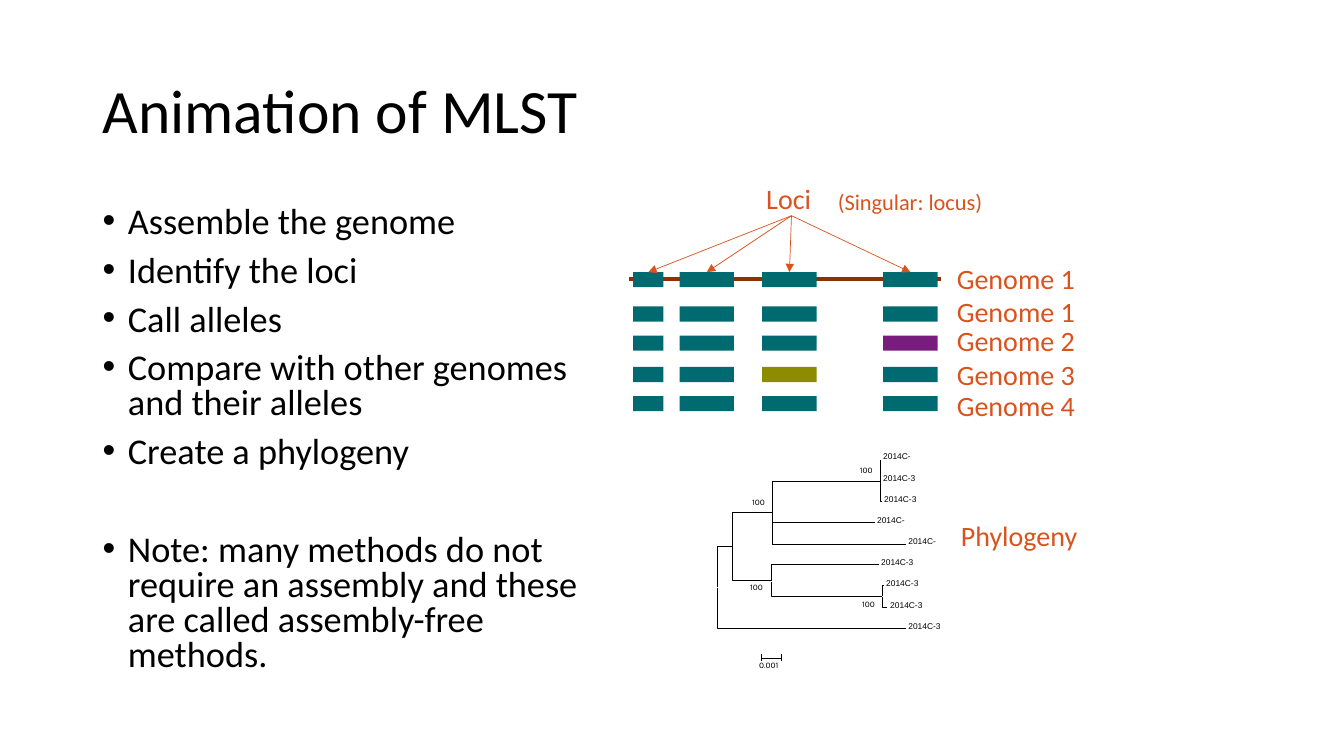
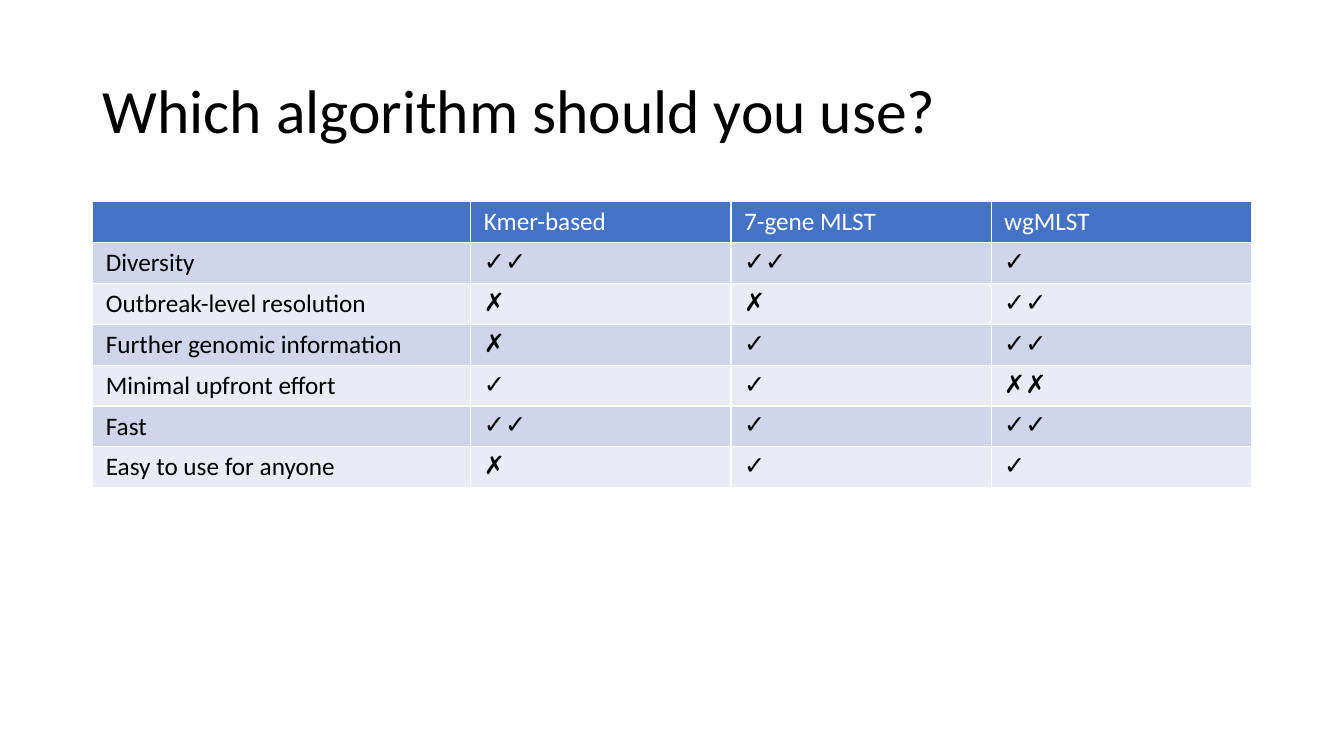
from lxml import etree
from pptx import Presentation
from pptx import util as u
from pptx.dml.color import RGBColor
from pptx.enum import shapes, text
from pptx.oxml.ns import qn

PX = 9144  # 100 px to the inch
COLORS = {
    "ink": "000000", "white": "FFFFFF", "label": "D9531E", "backbone": "8B3102",
    "common": "006A71", "purple": "781D7E", "olive": "8D8B00",
    "header": "4472C4", "band_dark": "CFD5EA", "band_light": "E9EBF5",
}


def px(length):
    return u.Emu(length * PX)


def rgb(name):
    return RGBColor.from_string(COLORS[name])


class Deck:
    """Holds the shared style and the slide being filled."""

    def __init__(self):
        self.file = Presentation()
        self.file.slide_width, self.file.slide_height = px(1333), px(750)
        self.page = None

    def add_page(self, title):
        self.page = self.file.slides.add_slide(self.file.slide_layouts[6])
        frame = self.add_text(title, 92, 40, 1150, 145, size=44, color="ink", inset=(10, 5))
        frame.vertical_anchor = text.MSO_ANCHOR.MIDDLE
        frame.paragraphs[0].line_spacing = 0.9

    def style_font(self, para, size, color="ink", font="Calibri"):
        for span in para.runs:
            span.font.size, span.font.name = u.Pt(size), font
            span.font.color.rgb = rgb(color)
            span.font.bold = False

    def add_text(self, words, left, top, width, height, size=20, color="label",
                 font="Calibri", inset=(0, 0), wrap=True):
        box = self.page.shapes.add_textbox(px(left), px(top), px(width), px(height))
        frame = box.text_frame
        frame.word_wrap = wrap
        frame.margin_left = frame.margin_right = px(inset[0])
        frame.margin_top = frame.margin_bottom = px(inset[1])
        frame.text = words
        for para in frame.paragraphs:
            self.style_font(para, size, color, font)
        return frame

    def add_bullets(self, items, left, top, width, height, size, last_gap):
        """Bulleted list whose last item stands apart by last_gap points."""
        frame = self.add_text("\n".join(items), left, top, width, height,
                              size=size, color="ink", inset=(10, 5))
        for index, para in enumerate(frame.paragraphs):
            props = para._p.get_or_add_pPr()
            props.set("marL", str(px(25)))
            props.set("indent", str(-px(25)))
            etree.SubElement(props, qn("a:buFont")).set("typeface", "Arial")
            etree.SubElement(props, qn("a:buChar")).set("char", "•")
            para.line_spacing = 0.8
            if index:
                para.space_before = u.Pt(10)
        frame.paragraphs[-1].space_before = u.Pt(last_gap)

    def add_bar(self, left, top, width, height, color):
        bar = self.page.shapes.add_shape(
            shapes.MSO_SHAPE.RECTANGLE, px(left), px(top), px(width), px(height))
        bar.shadow.inherit = False
        bar.fill.solid()
        bar.fill.fore_color.rgb = rgb(color)
        bar.line.fill.background()

    def add_line(self, x1, y1, x2, y2, color="ink", weight=0.38, arrow=False):
        line = self.page.shapes.add_connector(
            shapes.MSO_CONNECTOR.STRAIGHT, px(x1), px(y1), px(x2), px(y2))
        line.line.color.rgb = rgb(color)
        line.line.width = u.Pt(weight)
        if arrow:
            etree.SubElement(line.line._get_or_add_ln(), qn("a:tailEnd")).set("type", "triangle")
        etree.SubElement(line._element.spPr, qn("a:effectLst"))

    def add_elbow(self, x, node_y, tip_y, tip_x):
        """Tree branch: vertical from the node, then horizontal to the tip."""
        builder = self.page.shapes.build_freeform(px(x), px(node_y))
        builder.add_line_segments([(px(x), px(tip_y)), (px(tip_x), px(tip_y))], close=False)
        branch = builder.convert_to_shape()
        branch.shadow.inherit = False
        branch.fill.background()
        branch.line.color.rgb = rgb("ink")
        branch.line.width = u.Pt(0.38)

    def add_table(self, rows, left, top, width, height, first_width):
        columns = len(rows[0])
        grid = self.page.shapes.add_table(
            len(rows), columns, px(left), px(top), px(width), px(height)).table
        for index, column in enumerate(grid.columns):
            column.width = px((width - first_width) // (columns - 1) if index else first_width)
        for r, row in enumerate(rows):
            fill = ("band_dark" if r % 2 else "band_light") if r else "header"
            for c, words in enumerate(row):
                cell = grid.cell(r, c)
                cell.margin_left = cell.margin_right = px(13)
                cell.margin_top = cell.margin_bottom = px(5)
                cell.text = words
                self.style_font(cell.text_frame.paragraphs[0], 18,
                                "ink" if r else "white", "Arial" if r and c else "Calibri")
                self.add_borders(cell)
                cell.fill.solid()
                cell.fill.fore_color.rgb = rgb(fill)

    def add_borders(self, cell):
        props = cell._tc.get_or_add_tcPr()
        for side in ("lnL", "lnR", "lnT", "lnB"):
            border = etree.SubElement(props, qn(f"a:{side}"), w=str(u.Pt(1)))
            solid = etree.SubElement(border, qn("a:solidFill"))
            etree.SubElement(solid, qn("a:srgbClr")).set("val", COLORS["white"])


def add_loci(deck):
    loci = [(628, 30), (674, 54), (756, 54), (876, 54)]  # left, width
    genomes = [  # bar top, label top, name, colours of differing loci
        (270, 259, "Genome 1", {}),
        (304, 292, "Genome 1", {}),
        (333, 321, "Genome 2", {3: "purple"}),
        (364, 355, "Genome 3", {2: "olive"}),
        (393, 385, "Genome 4", {}),
    ]
    deck.add_line(624, 277, 933, 277, "backbone", 3)
    for bar_top, label_top, name, variants in genomes:
        for index, (left, width) in enumerate(loci):
            deck.add_bar(left, bar_top, width, 15, variants.get(index, "common"))
        deck.add_text(name, 949, label_top, 182, 34)
    deck.add_text("Loci", 760, 180, 50, 34)
    deck.add_text("(Singular: locus)", 831, 187, 147, 27, size=16)
    for left, width in loci:
        deck.add_line(785, 214, left + width // 2, 270, "label", 0.5, arrow=True)


def add_phylogeny(deck):
    branches = [  # x, node y, tip y, tip x
        (873, 477, 497, 875), (766, 497, 477, 873), (766, 498, 518, 868),
        (766, 508, 540, 899), (726, 542, 508, 766), (765, 576, 560, 872),
        (875, 591, 581, 877), (875, 592, 602, 880), (765, 577, 592, 875),
        (726, 542, 576, 765), (711, 582, 542, 726), (711, 583, 623, 899),
    ]
    for branch in branches:
        deck.add_elbow(*branch)
    stems_and_scale = [
        (873, 456, 873, 477), (766, 477, 766, 508),
        (755, 653, 775, 653), (755, 649, 755, 656), (775, 649, 775, 656),
    ]
    for ends in stems_and_scale:
        deck.add_line(*ends)
    samples = [
        ("2014C-", 876, 448), ("2014C-3", 876, 469), ("2014C-3", 877, 490),
        ("2014C-", 870, 511), ("2014C-", 901, 532), ("2014C-3", 874, 553),
        ("2014C-3", 879, 574), ("2014C-3", 883, 595), ("2014C-3", 901, 616),
    ]
    for name, left, top in samples:
        deck.add_text(name, left, top, 33, 10, 6, "ink", "Arial", wrap=False)
    numbers = [("100", 855, 594), ("100", 744, 578), ("100", 746, 493),
               ("100", 853, 461), ("0.001", 753, 655)]
    for number, left, top in numbers:
        deck.add_text(number, left, top, 21 if "." in number else 14, 10,
                      6, "ink", "Karla", wrap=False)
    deck.add_text("Phylogeny", 953, 514, 182, 34)


def main():
    deck = Deck()
    deck.add_page("Animation of MLST")
    deck.add_bullets([
        "Assemble the genome",
        "Identify the loci",
        "Call alleles",
        "Compare with other genomes and their alleles",
        "Create a phylogeny",
        "Note: many methods do not require an assembly and these are called "
        "assembly-free methods.",
    ], 92, 200, 501, 476, size=25.9, last_gap=45)
    add_loci(deck)
    add_phylogeny(deck)

    deck.add_page("Which algorithm should you use?")
    deck.add_table([
        ("", "Kmer-based", "7-gene MLST", "wgMLST"),
        ("Diversity", "✓✓", "✓✓", "✓"),
        ("Outbreak-level resolution", "✗", "✗", "✓✓"),
        ("Further genomic information", "✗", "✓", "✓✓"),
        ("Minimal upfront effort", "✓", "✓", "✗✗"),
        ("Fast", "✓✓", "✓", "✓✓"),
        ("Easy to use for anyone", "✗", "✓", "✓"),
    ], 92, 200, 1150, 284, first_width=375)
    deck.file.save("out.pptx")


if __name__ == "__main__":
    main()
